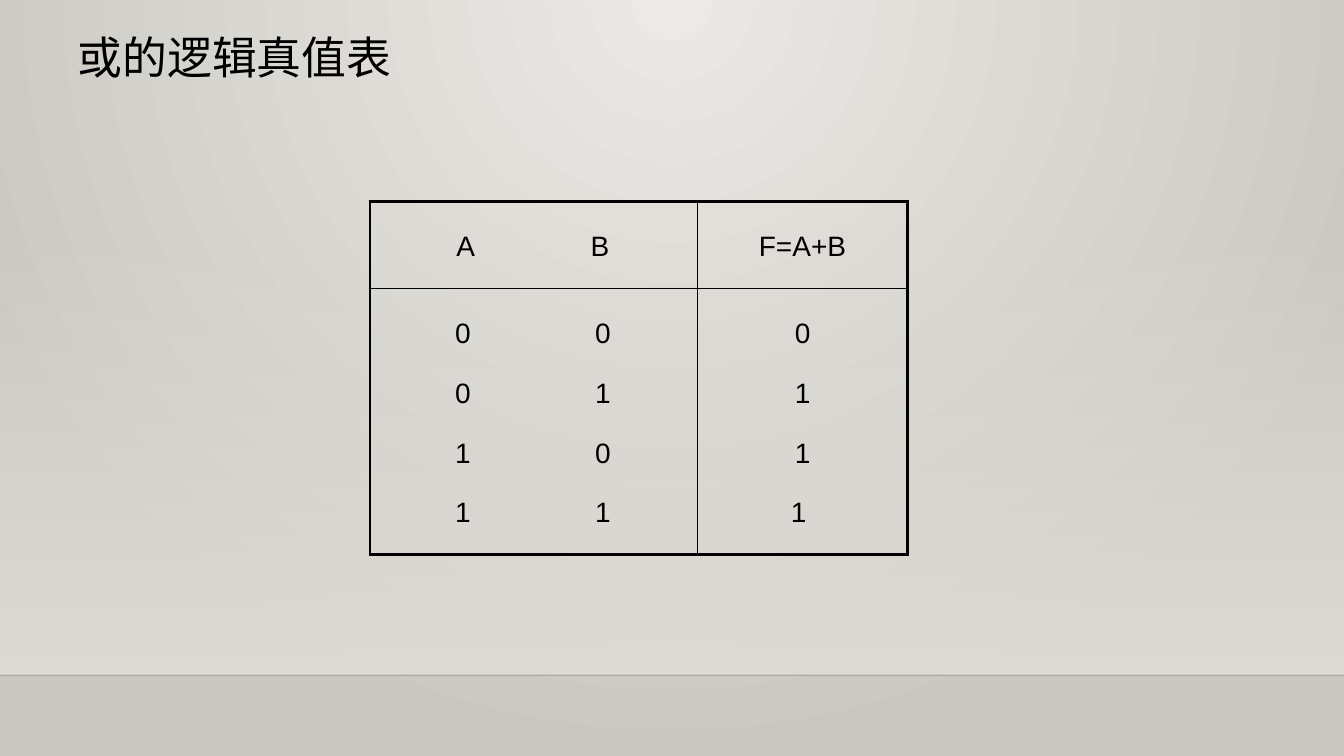
from dataclasses import dataclass

from lxml import etree
from pptx import Presentation, util as u
from pptx.dml.color import RGBColor
from pptx.enum import shapes, text
from pptx.oxml import parse_xml
from pptx.oxml.ns import nsdecls, qn

BLACK = "000000"
THICK, THIN = 2.25, 1


@dataclass
class TruthCell:
    row: int
    column: int
    lines: list[str]
    borders: tuple[float, float, float, float]  # left, right, top, bottom
    tab_stops: tuple[float, ...] = ()


CELLS = [
    TruthCell(0, 0, ["\tA\tB"], (THICK, THIN, THICK, THIN), (0.85, 2.18)),
    TruthCell(0, 1, ["F=A+B"], (THIN, THICK, THICK, THIN)),
    TruthCell(1, 0, ["\t0\t0", "\t0\t1", "\t1\t0", "\t1\t1"],
              (THICK, THIN, THIN, THICK), (0.82, 2.21)),
    TruthCell(1, 1, ["0", "1", "1", "1 "], (THIN, THICK, THIN, THICK)),
]


def color(value: str) -> RGBColor:
    return RGBColor.from_string(value)


def add_text(paragraph, content: str, *, size: float, font: str,
             line_spacing: float, align=text.PP_ALIGN.LEFT,
             space_before: float = 0) -> None:
    paragraph.alignment = align
    paragraph.line_spacing = line_spacing
    paragraph.space_before = u.Pt(space_before)
    run = paragraph.add_run()
    run.text = content
    run.font.size = u.Pt(size)
    run.font.name = font
    run.font.color.rgb = color(BLACK)


def set_gradient(fill, stops: list[tuple[str, int]], direction: str) -> None:
    """Each stop is a colour and an opacity in percent, evenly spaced."""
    fill.gradient()
    gradient = fill._xPr.find(qn("a:gradFill"))
    for child in list(gradient):
        gradient.remove(child)
    stop_list = etree.SubElement(gradient, qn("a:gsLst"))
    for index, (value, opacity) in enumerate(stops):
        position = 100000 * index // (len(stops) - 1)
        stop = etree.SubElement(stop_list, qn("a:gs"), pos=str(position))
        tint = etree.SubElement(stop, qn("a:srgbClr"), val=value)
        if opacity < 100:
            etree.SubElement(tint, qn("a:alpha"), val=str(opacity * 1000))
    gradient.append(parse_xml(direction))


def set_borders(cell, widths: tuple[float, ...]) -> None:
    properties = cell._tc.get_or_add_tcPr()
    for index, (side, width) in enumerate(zip("LRTB", widths)):
        properties.insert(index, parse_xml(
            f'<a:ln{side} {nsdecls("a")} w="{u.Pt(width)}"><a:solidFill>'
            f'<a:srgbClr val="{BLACK}"/></a:solidFill></a:ln{side}>'))


def add_tab_stops(paragraph, positions: tuple[float, ...]) -> None:
    tab_list = etree.SubElement(paragraph._p.get_or_add_pPr(), qn("a:tabLst"))
    for position in positions:
        etree.SubElement(tab_list, qn("a:tab"),
                         pos=str(u.Inches(position)), algn="ctr")


def fill_cell(table, item: TruthCell) -> None:
    cell = table.cell(item.row, item.column)
    cell.fill.background()
    set_borders(cell, item.borders)
    frame = cell.text_frame
    for index, line in enumerate(item.lines):
        paragraph = frame.add_paragraph() if index else frame.paragraphs[0]
        align = text.PP_ALIGN.CENTER
        if item.tab_stops:
            add_tab_stops(paragraph, item.tab_stops)
            align = text.PP_ALIGN.LEFT
        add_text(paragraph, line, size=20, font="Arial", line_spacing=1.8,
                 align=align, space_before=2.5 if index else 0)


def add_backdrop(slide) -> None:
    set_gradient(
        slide.background.fill, [("ECEAE7", 100), ("CAC7C1", 100)],
        f'<a:path {nsdecls("a")} path="circle"><a:fillToRect l="43000" t="0" '
        'r="43000" b="100000"/></a:path>')
    wall = slide.shapes.add_shape(
        shapes.MSO_SHAPE.RECTANGLE, 0, u.Inches(2.21), u.Inches(13.33), u.Inches(4.49))
    wall.shadow.inherit = False
    wall.line.fill.background()
    set_gradient(wall.fill, [("DFDBD5", 0), ("DFDBD5", 100)],
                 f'<a:lin {nsdecls("a")} ang="5400000" scaled="0"/>')
    floor_line = slide.shapes.add_connector(
        shapes.MSO_CONNECTOR.STRAIGHT, 0, u.Inches(6.7), u.Inches(13.33), u.Inches(6.7))
    floor_line.line.width = u.Pt(1)
    floor_line.line.color.rgb = color("000001")
    properties = floor_line._element.spPr
    tint = properties.find(".//" + qn("a:srgbClr"))
    etree.SubElement(tint, qn("a:alpha"), val="20000")
    etree.SubElement(properties, qn("a:effectLst"))


def add_title(slide) -> None:
    title = slide.shapes.title
    title.left, title.top = u.Inches(0.67), u.Inches(0.3)
    title.width, title.height = u.Inches(12), u.Inches(1.25)
    title.text_frame.vertical_anchor = text.MSO_ANCHOR.TOP
    add_text(title.text_frame.paragraphs[0], "或的逻辑真值表",
             size=32, font="Calibri", line_spacing=0.9)


def add_truth_table(slide) -> None:
    table = slide.shapes.add_table(
        2, 2, u.Inches(3.67), u.Inches(2), u.Inches(5.33), u.Inches(3.5)).table
    table.first_row = table.horz_banding = False
    for column, width in zip(table.columns, (3.25, 2.08)):
        column.width = u.Inches(width)
    for row, height in zip(table.rows, (0.86, 2.64)):
        row.height = u.Inches(height)
    for item in CELLS:
        fill_cell(table, item)


def main() -> None:
    presentation = Presentation()
    presentation.slide_width = u.Inches(13.33)
    presentation.slide_height = u.Inches(7.5)
    slide = presentation.slides.add_slide(presentation.slide_layouts[5])
    add_backdrop(slide)
    add_title(slide)
    add_truth_table(slide)
    presentation.save("out.pptx")


if __name__ == "__main__":
    main()
